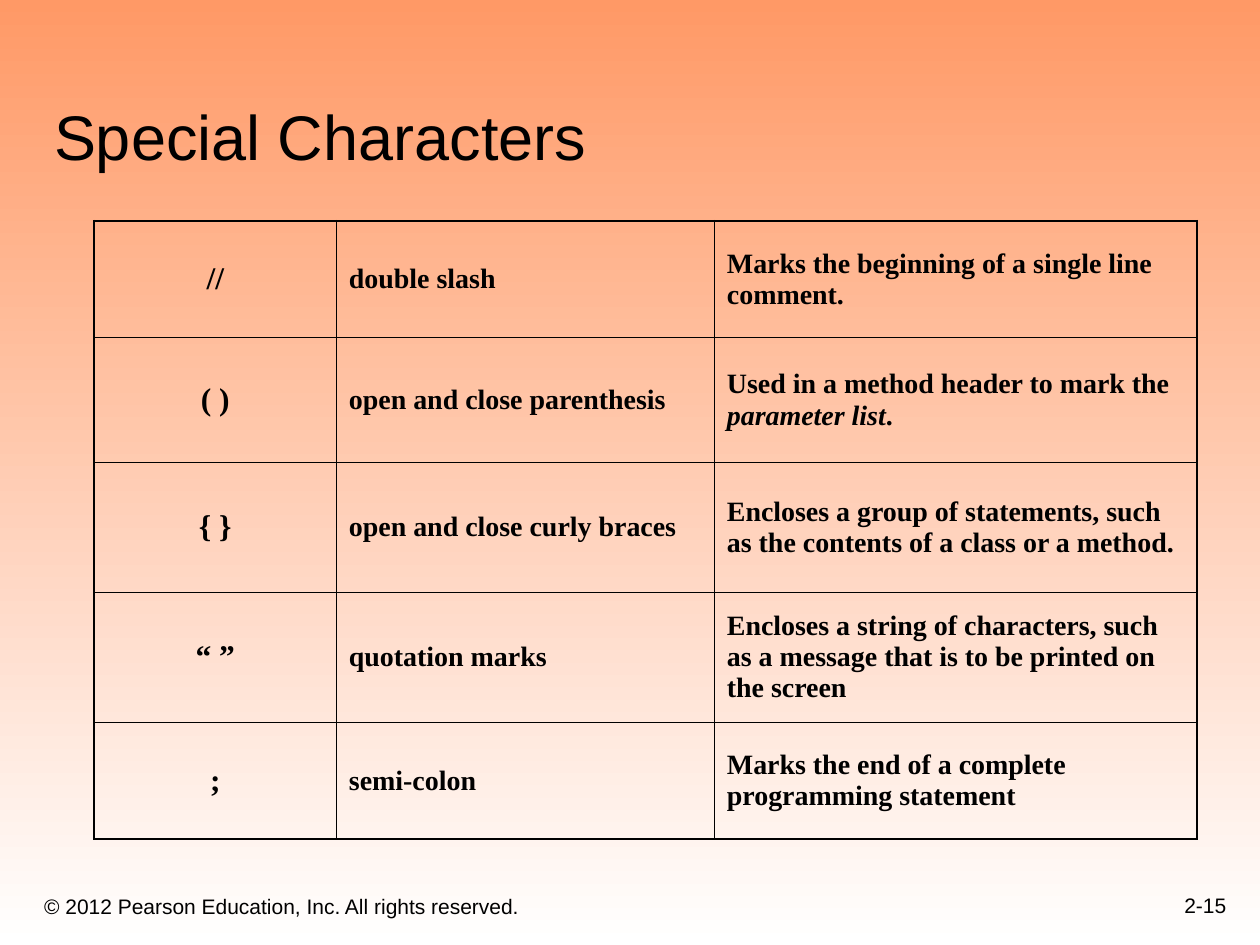
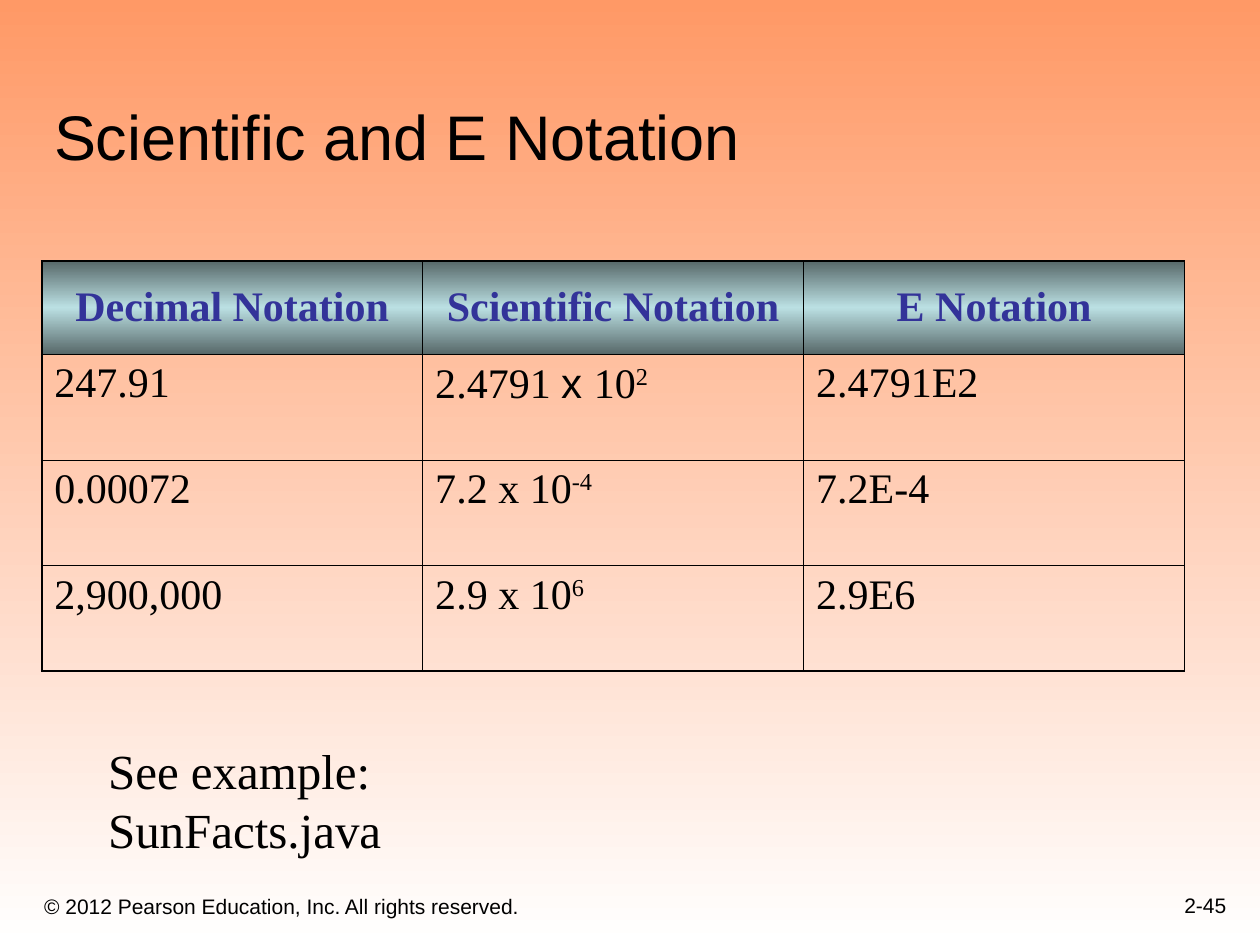
import copy

from lxml import etree
from pptx import Presentation
from pptx import util as u
from pptx.dml.color import RGBColor
from pptx.enum import text
from pptx.oxml.ns import qn

BLACK = RGBColor(0x00, 0x00, 0x00)
WHITE = RGBColor(0xFF, 0xFF, 0xFF)
ORANGE = RGBColor(0xFF, 0x99, 0x66)
INDIGO = RGBColor(0x33, 0x33, 0x99)
SLATE = RGBColor(0x57, 0x68, 0x69)
ICE = RGBColor(0xBB, 0xE0, 0xE3)
SANS, SERIF = "Arial", "Times New Roman"
OUTER, INNER = u.Pt(1.08), u.Pt(0.45)
LEFT, CENTER, RIGHT = text.PP_ALIGN.LEFT, text.PP_ALIGN.CENTER, text.PP_ALIGN.RIGHT
TOP, MIDDLE, BOTTOM = text.MSO_ANCHOR.TOP, text.MSO_ANCHOR.MIDDLE, text.MSO_ANCHOR.BOTTOM
COPYRIGHT = "© 2012 Pearson Education, Inc. All rights reserved."


def write(paragraph, content, size, font=SERIF, color=BLACK, bold=False, align=LEFT):
    """Write a string, or (words, mark) pairs marked "", "italic", "super" or "sans"."""
    paragraph.alignment = align
    for words, mark in [(content, "")] if isinstance(content, str) else content:
        run = paragraph.add_run()
        run.text = words
        run.font.size = u.Pt(size)
        run.font.name = SANS if mark == "sans" else font
        run.font.color.rgb = color
        run.font.bold = bold
        if mark == "italic":
            run.font.italic = True
        if mark == "super":
            run.font._element.set("baseline", "30000")


def add_label(slide, place, content, size, font=SANS, align=LEFT, anchor=BOTTOM, wrap=True):
    frame = slide.shapes.add_textbox(*map(u.Cm, place)).text_frame
    frame.word_wrap = wrap
    frame.vertical_anchor = anchor
    write(frame.paragraphs[0], content, size, font, align=align)


characters = [
    ["//", "double slash", "Marks the beginning of a single line comment."],
    ["( )", "open and close parenthesis",
     [("Used in a method header to mark the ", ""), ("parameter list", "italic"), (".", "")]],
    ["{ }", "open and close curly braces",
     "Encloses a group of statements, such as the contents of a class or a method."],
    ["“ ”", "quotation marks",
     "Encloses a string of characters, such as a message that is to be printed on the screen"],
    [";", "semi-colon", "Marks the end of a complete programming statement"],
]
notations = [
    ["Decimal Notation", "Scientific Notation", "E Notation"],
    ["247.91", [("2.4791 ", ""), ("x ", "sans"), ("10", ""), ("2", "super")], "2.4791E2"],
    ["0.00072", [("7.2 x 10", ""), ("-4", "super")], "7.2E-4"],
    ["2,900,000", [("2.9 x 10", ""), ("6", "super")], "2.9E6"],
]
# title, page, cells, table corner, column widths, row heights
pages = [
    ("Special Characters", "2-15", characters, (1.9, 4.45),
     [4.88, 7.62, 9.73], [2.36, 2.51, 2.62, 2.62, 2.36]),
    ("Scientific and E Notation", "2-45", notations, (0.84, 5.26),
     [7.68] * 3, [1.88] + [2.13] * 3),
]

deck = Presentation()
deck.slide_width, deck.slide_height = u.Cm(25.4), u.Cm(19.05)

for title, page, cells, corner, widths, heights in pages:
    slide = deck.slides.add_slide(deck.slide_layouts[6])
    backdrop = slide.background.fill
    backdrop.gradient()
    backdrop.gradient_angle = 270
    for stop, color in zip(backdrop.gradient_stops, (ORANGE, WHITE)):
        stop.color.rgb = color

    add_label(slide, (0.64, 17.58, 15.44, 1.07), COPYRIGHT, 12)
    add_label(slide, (19.69, 17.35, 5.28, 1.27), page, 12, align=RIGHT)
    add_label(slide, (0.84, 0.84, 23.93, 2.77), title, 36)

    size = map(u.Cm, (sum(widths), sum(heights)))
    grid = slide.shapes.add_table(len(heights), len(widths), *map(u.Cm, corner), *size).table
    grid.first_row = grid.horz_banding = False
    for column, width in zip(grid.columns, widths):
        column.width = u.Cm(width)
    for row, height in zip(grid.rows, heights):
        row.height = u.Cm(height)

    last_row, last_column = len(heights) - 1, len(widths) - 1
    for r, entries in enumerate(cells):
        for c, entry in enumerate(entries):
            cell = grid.cell(r, c)
            heading = cells is notations and r == 0
            paragraph = cell.text_frame.paragraphs[0]
            cell.vertical_anchor = MIDDLE if heading or cells is characters else TOP
            if heading:
                write(paragraph, entry, 24, color=INDIGO, bold=True, align=CENTER)
            elif cells is notations:
                write(paragraph, entry, 24)
            elif c == 0:
                write(paragraph, entry, 18, bold=True, align=CENTER)
            else:
                write(paragraph, entry, 16, bold=True)

            if heading:
                cell.fill.gradient()
                cell.fill.gradient_angle = 270
                stops = cell._tc.tcPr.find(".//" + qn("a:gsLst"))
                stops.insert(1, copy.deepcopy(stops[0]))
                stops[1].set("pos", "50000")
                for stop, color in zip(cell.fill.gradient_stops, (SLATE, ICE, SLATE)):
                    stop.color.rgb = color
            else:
                cell.fill.background()

            edges = [("L", c == 0), ("R", c == last_column), ("T", r == 0), ("B", r == last_row)]
            for position, (side, outside) in enumerate(edges):
                border = etree.Element(qn("a:ln" + side), w=str(OUTER if outside else INNER))
                ink = etree.SubElement(border, qn("a:solidFill"))
                etree.SubElement(ink, qn("a:srgbClr"), val=str(BLACK))
                cell._tc.tcPr.insert(position, border)

add_label(slide, (1.93, 14.81, 11.53, 1.45), "See example: SunFacts.java", 28, SERIF,
          anchor=TOP, wrap=False)

deck.save("out.pptx")
